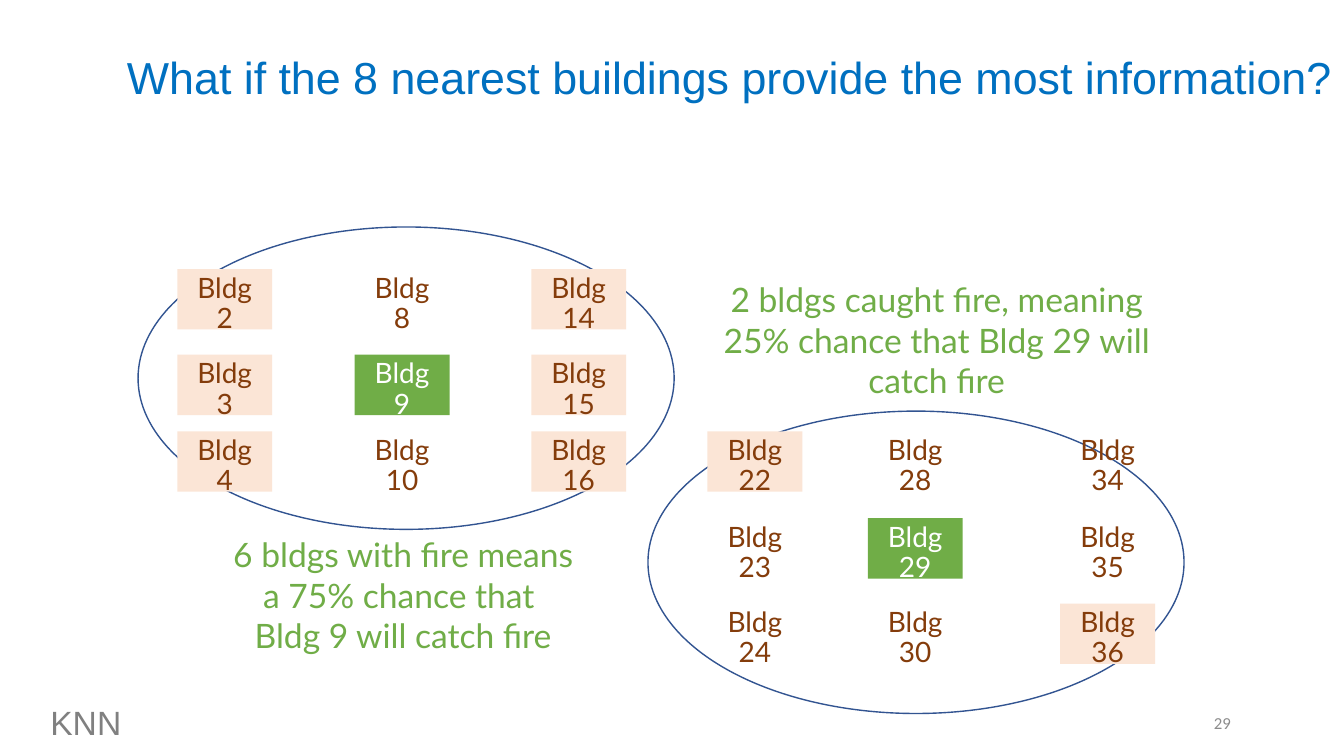
from pptx import Presentation
from pptx.dml.color import RGBColor
from pptx.enum.shapes import MSO_SHAPE
from pptx.enum.text import MSO_ANCHOR, PP_ALIGN
from pptx.util import Cm, Pt

BLUE = RGBColor(0x00, 0x70, 0xC0)
NAVY = RGBColor(0x32, 0x54, 0x91)
GREEN = RGBColor(0x70, 0xAD, 0x47)
PEACH = RGBColor(0xFB, 0xE5, 0xD6)
BROWN = RGBColor(0x84, 0x3C, 0x0B)
WHITE = RGBColor(0xFF, 0xFF, 0xFF)
GREY = RGBColor(0x80, 0x80, 0x80)
PALE = RGBColor(0x8C, 0x8C, 0x8C)

FIRE = {2, 3, 4, 14, 15, 16, 22, 36}


class Board:
    head, body, small = "Arial", "Lato", "Calibri"
    cell = 2.39, 1.52

    def __init__(self, slide):
        self.slide = slide

    def text(self, box, lines, font, size, color,
             align=PP_ALIGN.LEFT, anchor=MSO_ANCHOR.TOP, lead=1.0, fill=None):
        shape = self.slide.shapes.add_textbox(*map(Cm, box))
        if fill is not None:
            shape.fill.solid()
            shape.fill.fore_color.rgb = fill
        frame = shape.text_frame
        frame.word_wrap = True
        frame.vertical_anchor = anchor
        for i, line in enumerate(lines):
            para = frame.add_paragraph() if i else frame.paragraphs[0]
            para.alignment = align
            para.line_spacing = lead
            run = para.add_run()
            run.text = line
            run.font.name = font
            run.font.size = Pt(size)
            run.font.color.rgb = color

    def note(self, box, *lines):
        self.text(box, lines, self.body, 24, GREEN, PP_ALIGN.CENTER)

    def ring(self, left, top):
        shape = self.slide.shapes.add_shape(
            MSO_SHAPE.OVAL, Cm(left), Cm(top), Cm(13.51), Cm(7.62))
        shape.shadow.inherit = False
        shape.fill.background()
        shape.line.color.rgb = NAVY
        shape.line.width = Pt(1)

    def block(self, first, lefts, tops):
        # Numbers rise by 1 down a column and by 6 across a row
        for col, left in enumerate(lefts):
            for row, top in enumerate(tops):
                num = first + 6 * col + row
                core = col == row == 1
                fill = GREEN if core else PEACH if num in FIRE else None
                self.text((left, top, *self.cell), [f"Bldg {num}"],
                          self.body, 20, WHITE if core else BROWN,
                          PP_ALIGN.CENTER, lead=0.9, fill=fill)


def main():
    deck = Presentation()
    deck.slide_width, deck.slide_height = Cm(33.87), Cm(19.05)
    board = Board(deck.slides.add_slide(deck.slide_layouts[6]))

    # Title
    board.text((2.95, 1.12, 30.96, 1.63),
               ["What if the 8 nearest buildings provide the most information?"],
               board.head, 32, BLUE)

    # Findings
    board.note((5.41, 13.34, 9.5, 3.33),
               "6 bldgs with fire means a 75% chance that ",
               "Bldg 9 will catch fire")
    board.note((17.98, 6.91, 11.25, 3.33),
               "2 bldgs caught fire, meaning 25% chance that "
               "Bldg 29 will catch fire")

    # Neighbourhoods
    board.ring(3.48, 5.72)
    board.ring(16.33, 10.36)
    board.block(2, (4.47, 8.94, 13.39), (6.78, 8.94, 10.87))
    board.block(22, (17.83, 21.87, 26.72), (10.87, 13.06, 15.21))

    # Footer
    board.text((1.02, 17.55, 13.89, 1.27), ["KNN"], board.head, 24, GREY)
    board.text((23.65, 17.7, 7.62, 1.02), ["29"], board.small, 12, PALE,
               PP_ALIGN.RIGHT, MSO_ANCHOR.MIDDLE)

    deck.save("out.pptx")


if __name__ == "__main__":
    main()
